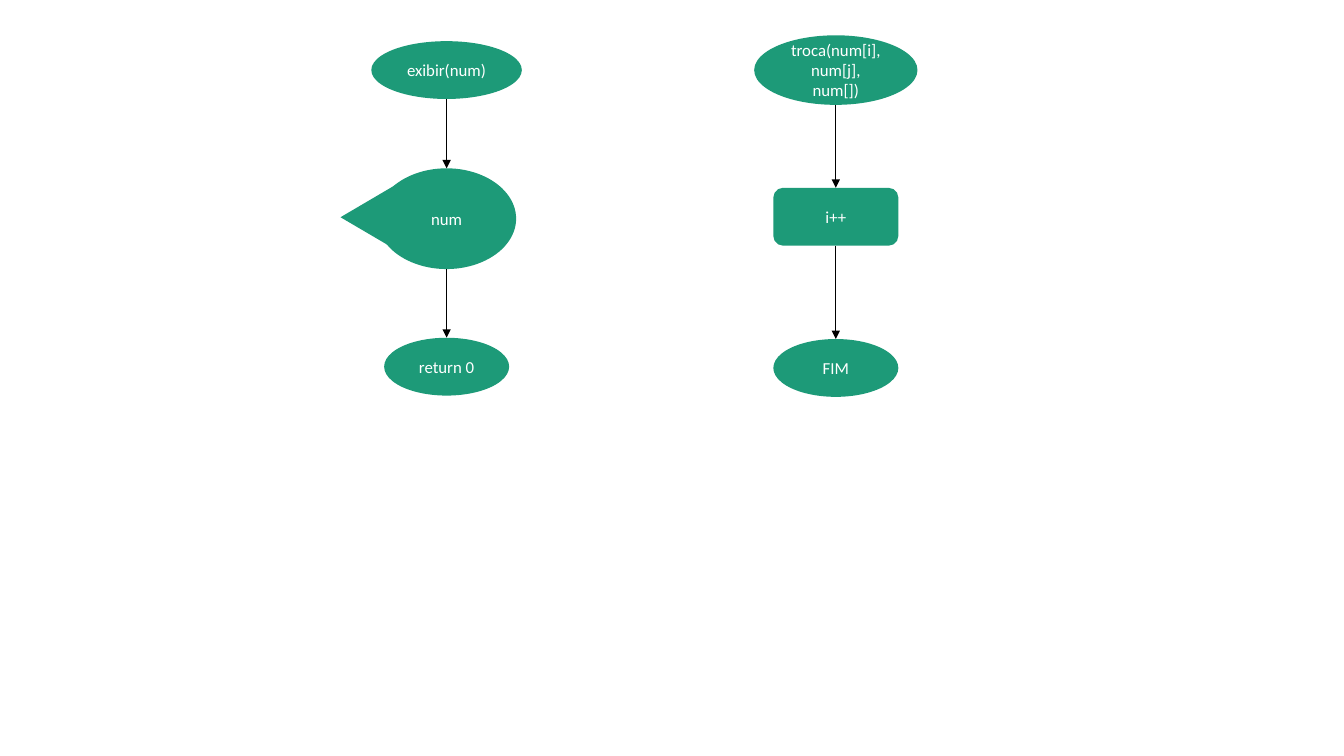
import dataclasses

import lxml.etree
import pptx
import pptx.dml.color
import pptx.enum.shapes
import pptx.enum.text
import pptx.oxml.ns
import pptx.shapes.autoshape
import pptx.slide
import pptx.util

COLOURS = {"node": "1D9A78", "text": "FFFFFF", "arrow": "000000"}
SHAPES = pptx.enum.shapes.MSO_SHAPE

# Grid of 100 columns by 100 rows over the slide
SLIDE_WIDTH = pptx.util.Inches(13.33)
SLIDE_HEIGHT = pptx.util.Inches(7.5)
EXIBIR_COLUMN, TROCA_COLUMN = 33.23, 62.19
NODE_WIDTH, NODE_HEIGHT = 9.3, 7.65


@dataclasses.dataclass(frozen=True)
class Node:
    """A flowchart shape placed by its centre row, sized in grid units."""
    text: str
    row: float
    width: float = NODE_WIDTH
    height: float = NODE_HEIGHT
    kind: SHAPES = SHAPES.OVAL


FLOWS = {
    EXIBIR_COLUMN: [
        Node("exibir(num)", 9.27, width=11.2),
        Node("num", 28.93, width=10.35, height=13.33),
        Node("return 0", 48.5),
    ],
    TROCA_COLUMN: [
        Node("troca(num[i], num[j], num[])", 9.27, width=12.15, height=9.2),
        Node("i++", 28.67, kind=SHAPES.ROUNDED_RECTANGLE),
        Node("FIM", 48.67),
    ],
}
DISPLAY_POINTER = Node("", 28.73, width=5.55, height=8.4,
                       kind=SHAPES.ISOSCELES_TRIANGLE)
POINTER_COLUMN = 27.7


def columns(count: float) -> int:
    return round(SLIDE_WIDTH * count / 100)


def rows(count: float) -> int:
    return round(SLIDE_HEIGHT * count / 100)


def colour(name: str) -> pptx.dml.color.RGBColor:
    return pptx.dml.color.RGBColor.from_string(COLOURS[name])


def draw_node(slide: pptx.slide.Slide, node: Node,
              column: float) -> pptx.shapes.autoshape.Shape:
    shape = slide.shapes.add_shape(
        node.kind, columns(column - node.width / 2),
        rows(node.row - node.height / 2),
        columns(node.width), rows(node.height))
    shape.shadow.inherit = False
    shape.fill.solid()
    shape.fill.fore_color.rgb = colour("node")
    shape.line.fill.background()
    if node.text:
        frame = shape.text_frame
        frame.word_wrap = True
        frame.vertical_anchor = pptx.enum.text.MSO_ANCHOR.MIDDLE
        paragraph = frame.paragraphs[0]
        paragraph.text = node.text
        paragraph.alignment = pptx.enum.text.PP_ALIGN.CENTER
        paragraph.font.name = "Calibri"
        paragraph.font.size = pptx.util.Pt(12)
        paragraph.font.color.rgb = colour("text")
    return shape


def draw_arrow(slide: pptx.slide.Slide, column: float,
               upper: pptx.shapes.autoshape.Shape,
               lower: pptx.shapes.autoshape.Shape) -> None:
    connector = slide.shapes.add_connector(
        pptx.enum.shapes.MSO_CONNECTOR.STRAIGHT,
        columns(column), upper.top + upper.height, columns(column), lower.top)
    # Site 2 is the bottom of a rectangle, but the left of an oval
    if upper.auto_shape_type == SHAPES.ROUNDED_RECTANGLE:
        connector.begin_connect(upper, 2)
    connector.end_connect(lower, 0)
    connector.line.color.rgb = colour("arrow")
    connector.line.width = pptx.util.Pt(0.5)
    qualified = pptx.oxml.ns.qn
    lxml.etree.SubElement(connector.line._get_or_add_ln(),
                          qualified("a:tailEnd"), type="triangle")
    lxml.etree.SubElement(connector._element.spPr, qualified("a:effectLst"))


def main() -> None:
    presentation = pptx.Presentation()
    presentation.slide_width = SLIDE_WIDTH
    presentation.slide_height = SLIDE_HEIGHT
    slide = presentation.slides.add_slide(presentation.slide_layouts[6])

    # Pointer behind the display node
    pointer = draw_node(slide, DISPLAY_POINTER, POINTER_COLUMN)
    pointer.rotation = 270

    # Flowcharts, each node joined to the next
    for column, nodes in FLOWS.items():
        shapes = [draw_node(slide, node, column) for node in nodes]
        for upper, lower in zip(shapes, shapes[1:]):
            draw_arrow(slide, column, upper, lower)

    presentation.save("out.pptx")


if __name__ == "__main__":
    main()
